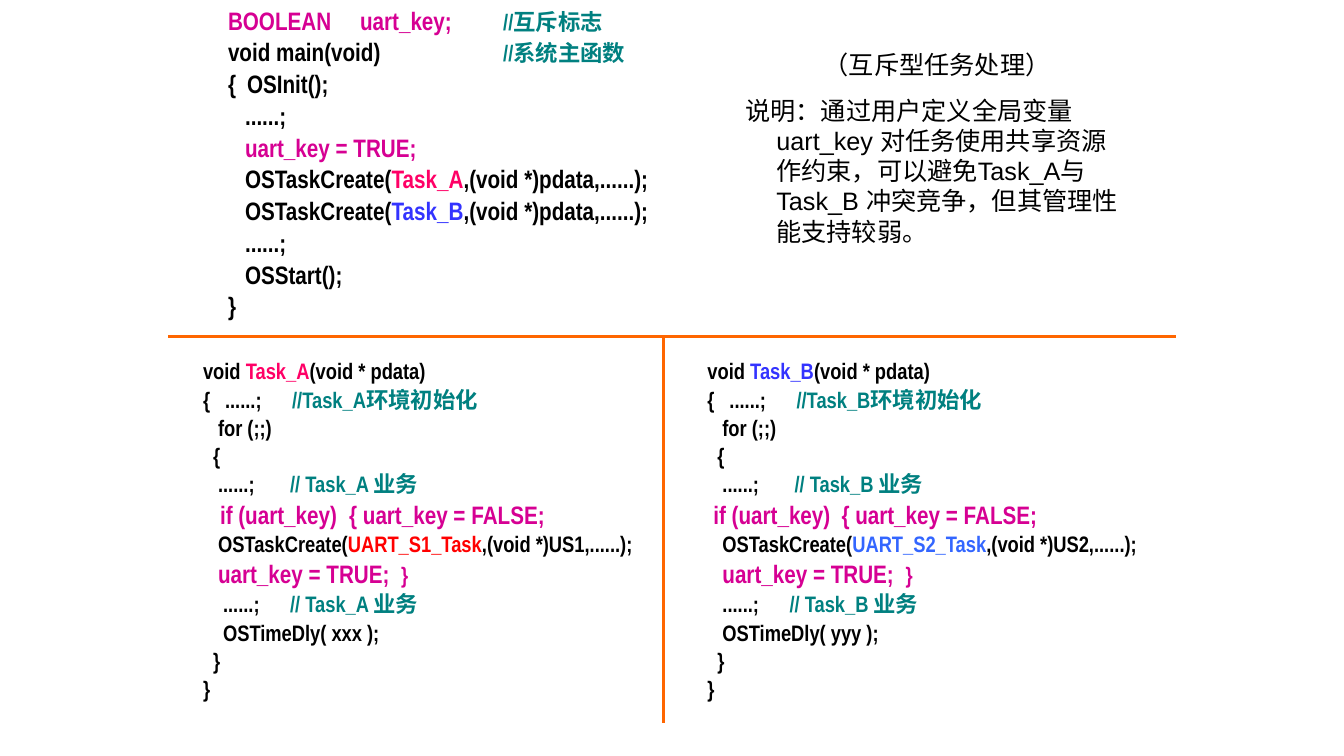
from dataclasses import dataclass

from lxml import etree
from pptx import Presentation
from pptx.dml.color import RGBColor
from pptx.enum.shapes import MSO_CONNECTOR
from pptx.enum.text import MSO_AUTO_SIZE, PP_ALIGN
from pptx.oxml.ns import qn
from pptx.util import Pt

STRAIGHT = MSO_CONNECTOR.STRAIGHT
GROW = MSO_AUTO_SIZE.SHAPE_TO_FIT_TEXT
LEFT, CENTER = PP_ALIGN.LEFT, PP_ALIGN.CENTER

EMU_PER_PX = 9083
BLACK, MAGENTA, TEAL, ORANGE = "000000", "D60093", "008080", "FF6600"
PINK, RED, INDIGO, BLUE = "FF0066", "FF0000", "3333FF", "3366FF"


@dataclass(frozen=True)
class Span:
    text: str
    color: str = BLACK
    size: int = 16


@dataclass(frozen=True)
class Line:
    spans: tuple[Span, ...]
    tabs: tuple[int, ...] = ()
    before: float = 1
    align: PP_ALIGN = LEFT
    hanging: int = 0


@dataclass(frozen=True)
class TextBlock:
    left: int
    top: int
    width: int
    height: int
    lines: tuple[Line, ...]
    font: str = "Arial Narrow"
    bold: bool = True


@dataclass(frozen=True)
class Task:
    name: str
    color: str
    child: str
    child_color: str
    child_data: str
    delay: str
    if_tabs: tuple[int, int]
    tail_tabs: tuple[int, int]
    delay_tab: int


@dataclass(frozen=True)
class Divider:
    x1: int
    y1: int
    x2: int
    y2: int


def px(length: int) -> int:
    return length * EMU_PER_PX


def rgb(color: str) -> RGBColor:
    return RGBColor.from_string(color)


def line(*spans: Span, tabs: tuple[int, ...] = (), before: float = 1) -> Line:
    return Line(spans, tabs, before)


def create_call(name: str, color: str, data: str, size: int, tab: int) -> Line:
    return line(Span("\tOSTaskCreate(", BLACK, size), Span(name, color, size),
                Span(f",(void *){data},......);", BLACK, size), tabs=(tab,))


def main_code() -> tuple[Line, ...]:
    dots = line(Span("\t......;", size=18), tabs=(17,), before=1.1)
    return (
        line(Span("BOOLEAN\tuart_key;\t", MAGENTA, 18), Span("//互斥标志", TEAL), tabs=(132, 275)),
        line(Span("void main(void)\t", size=18), Span("//系统主函数", TEAL), tabs=(275,)),
        line(Span("{\tOSInit();", size=18), tabs=(19,), before=1.1),
        dots,
        line(Span("\tuart_key = TRUE;", MAGENTA, 18), tabs=(17,), before=1.1),
        create_call("Task_A", PINK, "pdata", 18, 17),
        create_call("Task_B", INDIGO, "pdata", 18, 17),
        dots,
        line(Span("\tOSStart();", size=18), tabs=(17,), before=1.1),
        line(Span("}", size=18), before=1.1),
    )


def task_code(task: Task) -> tuple[Line, ...]:
    work = Span(f"// {task.name} 业务", TEAL)
    return (
        line(Span("void "), Span(task.name, task.color), Span("(void * pdata)")),
        line(Span("{\t......;\t"), Span(f"//{task.name}环境初始化", TEAL), tabs=(22, 89)),
        line(Span("\tfor (;;)"), tabs=(15,)),
        line(Span("\t{"), tabs=(10,)),
        line(Span("\t......;\t"), work, tabs=(15, 87)),
        line(Span("\tif (uart_key)\t{ uart_key = FALSE;", MAGENTA, 18), tabs=task.if_tabs, before=1.1),
        create_call(task.child, task.child_color, task.child_data, 16, 15),
        line(Span("\tuart_key = TRUE;\t", MAGENTA, 18), Span("}", MAGENTA), tabs=(15, 198)),
        line(Span("\t......;\t"), work, tabs=task.tail_tabs),
        line(Span(f"\tOSTimeDly( {task.delay} );"), tabs=(task.delay_tab,)),
        line(Span("\t}"), tabs=(10,)),
        line(Span("}")),
    )


def add_line(para, item: Line, font: str, bold: bool) -> None:
    para.alignment = item.align
    para.space_before = Pt(item.before)
    properties = para._p.get_or_add_pPr()
    if item.hanging:
        properties.set("marL", str(px(item.hanging)))
        properties.set("indent", str(-px(item.hanging)))
    if item.tabs:
        stops = etree.SubElement(properties, qn("a:tabLst"))
        for stop in item.tabs:
            etree.SubElement(stops, qn("a:tab"), pos=str(px(stop)), algn="l")
    for span in item.spans:
        run = para.add_run()
        run.text = span.text
        run.font.name = font
        run.font.size = Pt(span.size)
        run.font.bold = bold
        run.font.color.rgb = rgb(span.color)


def add_block(page, block: TextBlock) -> None:
    box = page.shapes.add_textbox(px(block.left), px(block.top), px(block.width), px(block.height))
    frame = box.text_frame
    frame.word_wrap = True
    frame.auto_size = GROW
    for index, item in enumerate(block.lines):
        para = frame.add_paragraph() if index else frame.paragraphs[0]
        add_line(para, item, block.font, block.bold)


def add_divider(page, divider: Divider) -> None:
    rule = page.shapes.add_connector(STRAIGHT, px(divider.x1), px(divider.y1),
                                     px(divider.x2), px(divider.y2))
    rule.line.color.rgb = rgb(ORANGE)
    rule.line.width = Pt(2.25)
    etree.SubElement(rule._element.spPr, qn("a:effectLst"))


def main() -> None:
    """Build the slide on mutually exclusive tasks and save it."""
    task_a = Task("Task_A", PINK, "UART_S1_Task", RED, "US1", "xxx", (17, 146), (20, 87), 20)
    task_b = Task("Task_B", INDIGO, "UART_S2_Task", BLUE, "US2", "yyy", (6, 134), (15, 82), 15)
    explanation = (
        Line((Span("（互斥型任务处理）", size=18),), before=11.2, align=CENTER, hanging=31),
        Line((Span("说明：通过用户定义全局变量uart_key 对任务使用共享资源作约束，"
                   "可以避免Task_A与Task_B 冲突竞争，但其管理性能支持较弱。", size=18),),
             before=11.2, hanging=31),
    )
    blocks = (
        TextBlock(218, 0, 512, 326, main_code()),
        TextBlock(193, 352, 453, 354, task_code(task_a)),
        TextBlock(697, 352, 461, 354, task_code(task_b)),
        TextBlock(735, 44, 403, 207, explanation, "Arial", False),
    )
    dividers = (Divider(168, 336, 1175, 336), Divider(663, 336, 663, 722))

    deck = Presentation()
    deck.slide_width, deck.slide_height = px(1343), px(755)
    page = deck.slides.add_slide(deck.slide_layouts[6])
    for block in blocks:
        add_block(page, block)
    for divider in dividers:
        add_divider(page, divider)
    deck.save("out.pptx")


if __name__ == "__main__":
    main()
